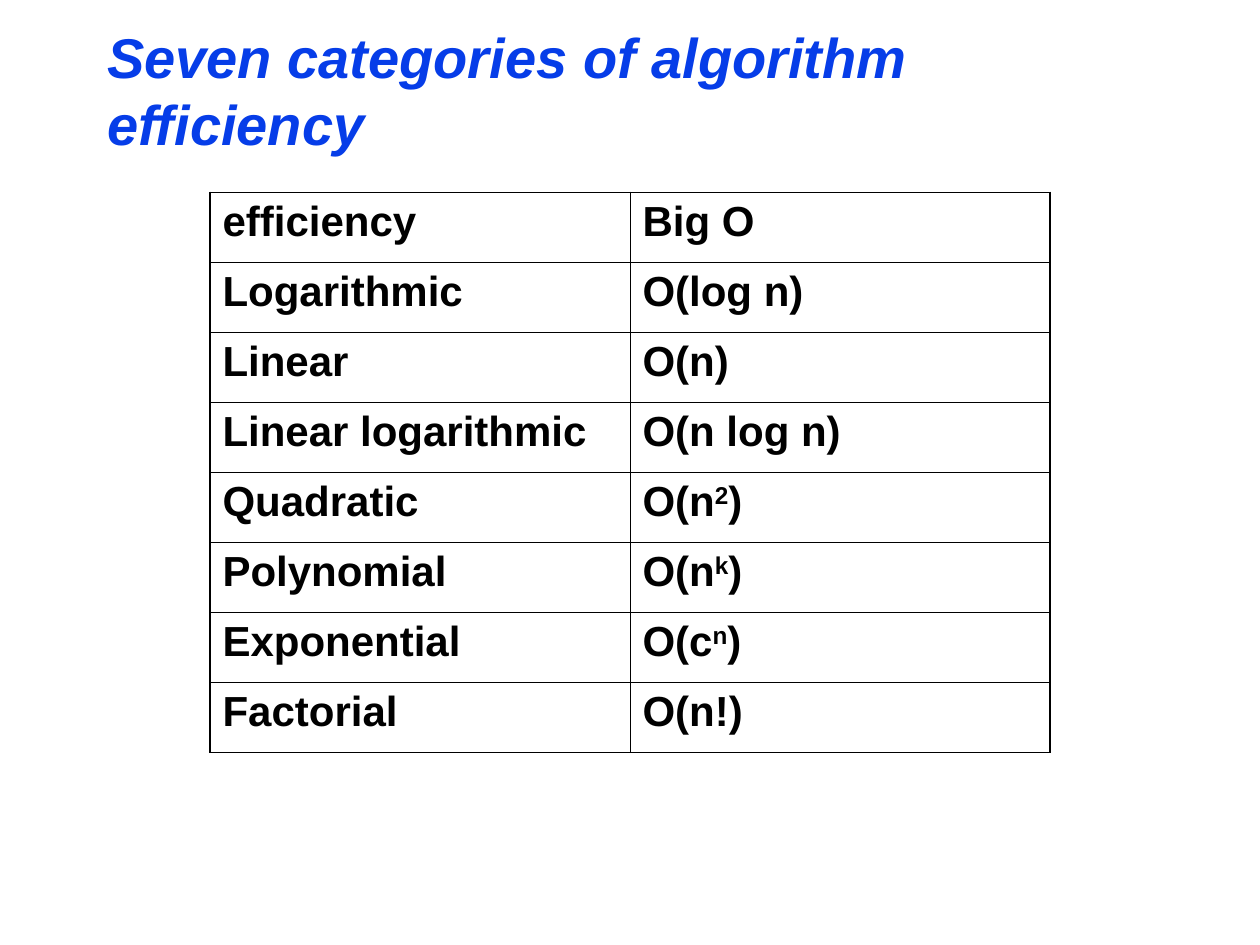
from dataclasses import dataclass

from lxml import etree
from pptx import Presentation
from pptx import util as u
from pptx.dml.color import RGBColor
from pptx.enum import text
from pptx.oxml import ns


@dataclass(frozen=True)
class Theme:
    font: str = "Arial"
    title_color: str = "063DE8"
    text_color: str = "000000"
    title_size: float = 32
    cell_size: float = 24
    outer_line: float = 1.08
    inner_line: float = 0.45


@dataclass(frozen=True)
class Efficiency:
    name: str
    base: str
    exponent: str = ""
    closing: str = ""


THEME = Theme()
ROWS = [
    Efficiency("efficiency", "Big O"),
    Efficiency("Logarithmic", "O(log n)"),
    Efficiency("Linear", "O(n)"),
    Efficiency("Linear logarithmic", "O(n log n)"),
    Efficiency("Quadratic", "O(n", "2", ")"),
    Efficiency("Polynomial", "O(n", "k", ")"),
    Efficiency("Exponential", "O(c", "n", ")"),
    Efficiency("Factorial", "O(n!)"),
]
COLUMN_COUNT = 2
COLUMN_WIDTH = 240
ROW_HEIGHT = 40


def style_font(para, size: float, color: str, italic: bool = False) -> None:
    font = para.font
    font.name = THEME.font
    font.size = u.Pt(size)
    font.bold = True
    font.italic = italic
    font.color.rgb = RGBColor.from_string(color)


def add_title(page, wording: str) -> None:
    title = page.shapes.title
    title.left, title.top = u.Pt(54), u.Pt(24)
    title.width, title.height = u.Pt(612), u.Pt(54)
    frame = title.text_frame
    frame.word_wrap = True
    frame.auto_size = text.MSO_AUTO_SIZE.NONE
    frame.vertical_anchor = text.MSO_ANCHOR.MIDDLE
    frame.text = wording
    para = frame.paragraphs[0]
    para.alignment = text.PP_ALIGN.LEFT
    style_font(para, THEME.title_size, THEME.title_color, italic=True)


def add_border(cell, side: str, width: float) -> None:
    properties = cell._tc.get_or_add_tcPr()
    line = etree.SubElement(properties, ns.qn(f"a:ln{side}"), w=str(u.Pt(width)))
    fill = etree.SubElement(line, ns.qn("a:solidFill"))
    etree.SubElement(fill, ns.qn("a:srgbClr"), val=THEME.text_color)


def format_cell(cell, row: int, column: int) -> None:
    outer_sides = {
        "L": column == 0,
        "R": column == COLUMN_COUNT - 1,
        "T": row == 0,
        "B": row == len(ROWS) - 1,
    }
    for side, is_outer in outer_sides.items():
        add_border(cell, side, THEME.outer_line if is_outer else THEME.inner_line)
    cell.fill.background()
    para = cell.text_frame.paragraphs[0]
    para.space_before = u.Pt(6)
    style_font(para, THEME.cell_size, THEME.text_color)


def write_order(para, entry: Efficiency) -> None:
    para.add_run().text = entry.base
    if entry.exponent:
        exponent = para.add_run()
        exponent.text = entry.exponent
        exponent.font._element.set("baseline", "30000")
        para.add_run().text = entry.closing


def add_efficiency_table(page) -> None:
    frame = page.shapes.add_table(
        len(ROWS), COLUMN_COUNT, u.Pt(120), u.Pt(110),
        u.Pt(COLUMN_COUNT * COLUMN_WIDTH), u.Pt(len(ROWS) * ROW_HEIGHT),
    )
    table = frame.table
    table.first_row = False
    table.horz_banding = False
    for row, entry in enumerate(ROWS):
        name_cell, order_cell = table.cell(row, 0), table.cell(row, 1)
        name_cell.text = entry.name
        write_order(order_cell.text_frame.paragraphs[0], entry)
        for column, cell in enumerate((name_cell, order_cell)):
            format_cell(cell, row, column)


def main() -> None:
    deck = Presentation()
    deck.slide_width, deck.slide_height = u.Pt(720), u.Pt(540)
    page = deck.slides.add_slide(deck.slide_layouts[5])
    add_title(page, "Seven categories of algorithm efficiency")
    add_efficiency_table(page)
    deck.save("out.pptx")


if __name__ == "__main__":
    main()
